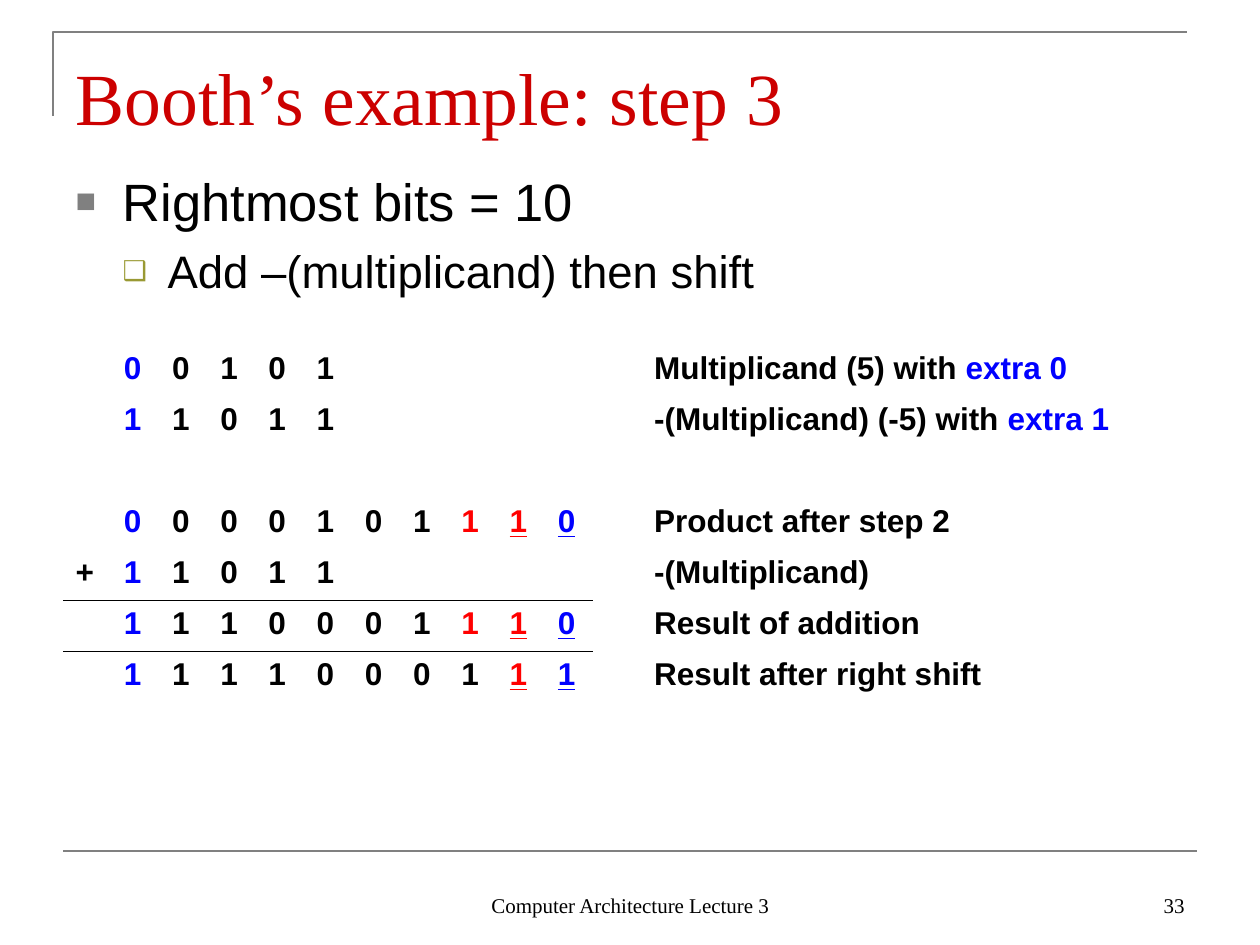
"""Build the slide for step 3 of Booth's multiplication example."""
from dataclasses import dataclass

from lxml.etree import SubElement
from pptx import Presentation
from pptx.dml.color import RGBColor as RGB
from pptx.enum.shapes import MSO_CONNECTOR as Connector
from pptx.enum.text import MSO_ANCHOR as Anchor, MSO_AUTO_SIZE as AutoSize, PP_ALIGN as Align
from pptx.oxml import parse_xml
from pptx.oxml.ns import nsdecls, qn
from pptx.util import Pt


@dataclass(frozen=True)
class Theme:
    serif: str = "Times New Roman"
    sans: str = "Arial"
    black: str = "000000"
    blue: str = "0000FF"
    red: str = "FF0000"
    title: str = "CC0000"
    rule: str = "808080"
    olive: str = "999933"
    title_pt: int = 42
    point_pt: int = 30
    subpoint_pt: int = 26
    table_pt: int = 18
    footer_pt: int = 12
    rule_pt: float = 1.5
    sum_line_pt: float = 0.45


theme = Theme()
EMU_PER_PX = 914400 / 126


def px(length):
    return round(length * EMU_PER_PX)


def add_run(paragraph, text, face, size, color, bold=False, underline=False):
    run = paragraph.add_run()
    run.text = text
    font = run.font
    font.name, font.size, font.bold, font.underline = face, Pt(size), bold, underline
    font.color.rgb = RGB.from_string(color)


deck = Presentation()
deck.slide_width, deck.slide_height = px(1260), px(945)
slide = deck.slides.add_slide(deck.slide_layouts[1])
shapes = slide.shapes

corner = shapes.build_freeform(px(53), px(116), scale=1.0)
corner.add_line_segments([(px(53), px(32)), (px(1187), px(32))], close=False)
corner_rule = corner.convert_to_shape()
corner_rule.fill.background()
corner_rule.shadow.inherit = False
footer_rule = shapes.add_connector(Connector.STRAIGHT, px(63), px(851), px(1197), px(851))
SubElement(footer_rule._element.spPr, qn("a:effectLst"))
for rule in (corner_rule, footer_rule):
    rule.line.color.rgb = RGB.from_string(theme.rule)
    rule.line.width = Pt(theme.rule_pt)

title, body = shapes.title, slide.placeholders[1]
for holder, top, height, inset in ((title, 38, 98, 14), (body, 158, 147, 11)):
    holder.left, holder.top, holder.width, holder.height = px(63), px(top), px(1134), px(height)
    frame = holder.text_frame
    frame.auto_size = AutoSize.NONE
    frame.vertical_anchor = Anchor.TOP
    frame.margin_top = px(inset)
heading = title.text_frame.paragraphs[0]
heading.alignment = Align.LEFT
add_run(heading, "Booth’s example: step 3", theme.serif, theme.title_pt, theme.title)

points = [
    ("Rightmost bits = 10", theme.point_pt, 47, 47, "■", theme.rule, 65, 0),
    ("Add –(multiplicand) then shift", theme.subpoint_pt, 92, 45, "❑", theme.olive, 60, 6.5),
]
for level, (text, size, margin, hang, mark, mark_color, mark_size, before) in enumerate(points):
    frame = body.text_frame
    point = frame.add_paragraph() if level else frame.paragraphs[0]
    point.level = level
    props = point._p.get_or_add_pPr()
    props.set("marL", str(px(margin)))
    props.set("indent", str(-px(hang)))
    SubElement(SubElement(props, qn("a:buClr")), qn("a:srgbClr"), val=mark_color)
    SubElement(props, qn("a:buSzPct"), val=str(mark_size * 1000))
    SubElement(props, qn("a:buFont"), typeface=theme.sans)
    SubElement(props, qn("a:buChar"), char=mark)
    point.space_before = Pt(before)
    add_run(point, text, theme.sans, size, theme.black)

for text, left, width, align in (
    ("Computer Architecture Lecture 3", 431, 399, Align.CENTER),
    ("33", 903, 294, Align.RIGHT),
):
    footer = shapes.add_textbox(px(left), px(861), px(width), px(63)).text_frame
    footer.word_wrap = True
    footer.vertical_anchor = Anchor.BOTTOM
    footer.paragraphs[0].alignment = align
    add_run(footer.paragraphs[0], text, theme.serif, theme.footer_pt, theme.black)

# Bit styles are letters: an upper-case letter means underlined.
bit_colors = {"b": theme.blue, "k": theme.black, "r": theme.red}
steps = [
    ("", "00101", "bkkkk", "Multiplicand (5) with ", "extra 0"),
    ("", "11011", "bkkkk", "-(Multiplicand) (-5) with ", "extra 1"),
    ("", "", "", "", ""),
    ("", "0000101110", "bkkkkkkrRB", "Product after step 2", ""),
    ("+", "11011", "bkkkk", "-(Multiplicand)", ""),
    ("", "1110001110", "bkkkkkkrRB", "Result of addition", ""),
    ("", "1111000111", "bkkkkkkkRB", "Result after right shift", ""),
]
BIT_COLUMNS, LABEL_COLUMN, SUM_ROW = 11, 12, 4
grid = shapes.add_table(len(steps), LABEL_COLUMN + 1, px(63), px(345), px(1086), px(357))
next(grid._element.iter(qn("a:tableStyleId"))).text = "{2D5ABB26-0587-4C30-8999-92F81FD0307C}"
table = grid.table
table.first_row = table.horz_banding = False
for index, column in enumerate(table.columns):
    column.width = px(507) if index == LABEL_COLUMN else px(579) // LABEL_COLUMN

for row, (sign, bits, styles, label, extra) in enumerate(steps):
    table.rows[row].height = px(51)
    entries = [(0, sign, "k")]
    entries += [(column, *bit) for column, bit in enumerate(zip(bits, styles), 1)]
    entries += [(LABEL_COLUMN, label, "k"), (LABEL_COLUMN, extra, "b")]
    for column, text, style in entries:
        if text:
            add_run(table.cell(row, column).text_frame.paragraphs[0], text, theme.sans,
                    theme.table_pt, bit_colors[style.lower()], True, style.isupper())
    for column in range(LABEL_COLUMN + 1):
        table.cell(row, column).fill.background()

for row, edge in ((SUM_ROW, "lnB"), (SUM_ROW + 1, "lnT")):
    for column in range(BIT_COLUMNS):
        border = parse_xml(
            f'<a:{edge} {nsdecls("a")} w="{Pt(theme.sum_line_pt)}"><a:solidFill>'
            f'<a:srgbClr val="{theme.black}"/></a:solidFill></a:{edge}>')
        table.cell(row, column)._tc.get_or_add_tcPr().insert(0, border)

deck.save("out.pptx")
